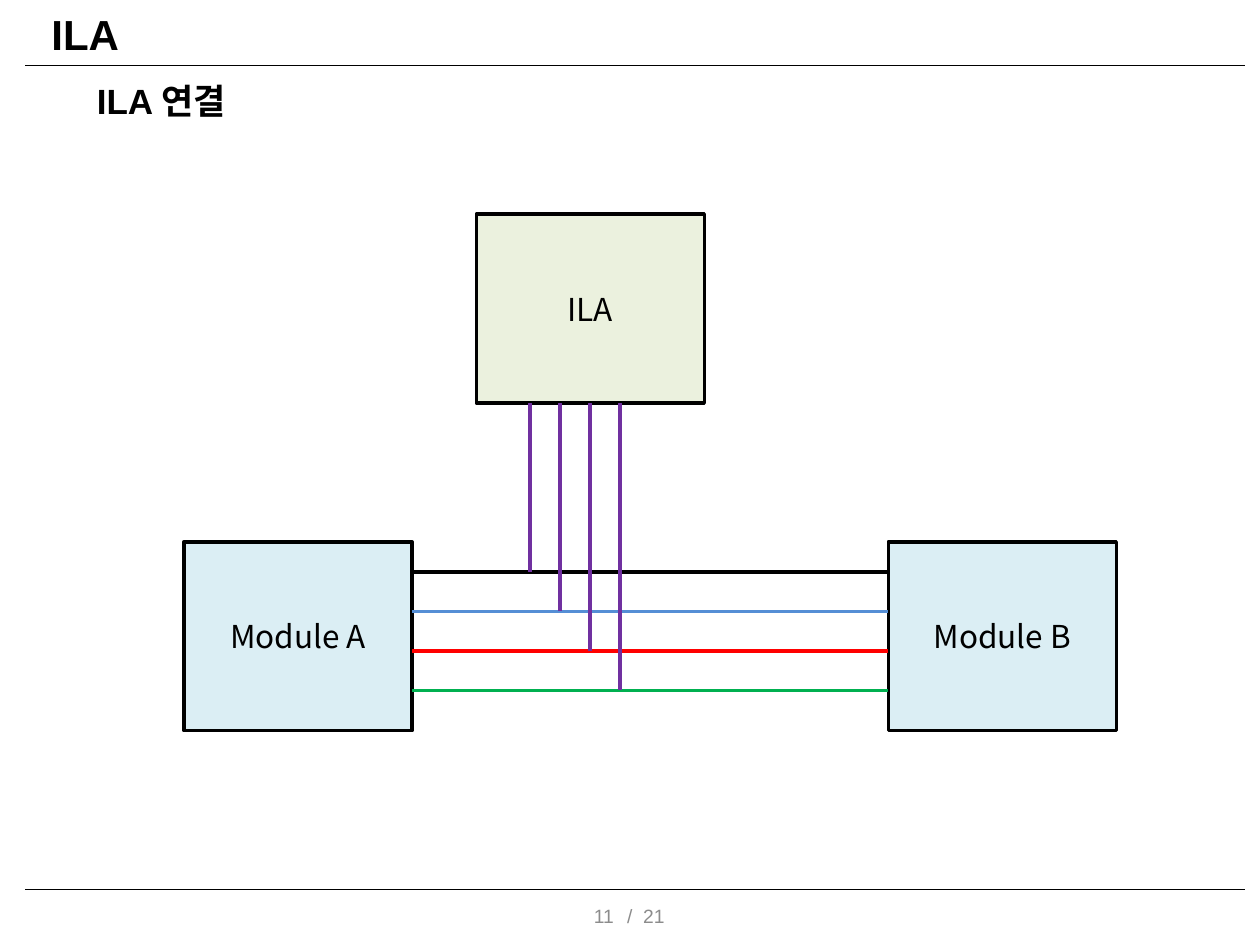
from lxml import etree
from pptx import Presentation
from pptx import util as u
from pptx.dml.color import RGBColor
from pptx.enum import shapes, text
from pptx.oxml import ns

BLACK = RGBColor(0x00, 0x00, 0x00)
GRAY = RGBColor(0x8C, 0x8C, 0x8C)
MODULE_BLUE = RGBColor(0xDB, 0xEE, 0xF4)
ILA_GREEN = RGBColor(0xEB, 0xF1, 0xDE)
PROBE_PURPLE = RGBColor(0x70, 0x30, 0xA0)
SIGNAL_COLORS = [BLACK, RGBColor(0x55, 0x8E, 0xD5),
                 RGBColor(0xFF, 0x00, 0x00), RGBColor(0x00, 0xB0, 0x50)]
LATIN, KOREAN = "Arial", "Noto Sans CJK KR"
ALIGN = text.PP_ALIGN


def write(shape, words, size, font=LATIN, color=BLACK, bold=False,
          align=ALIGN.LEFT, before=0, inset=0.05):
    frame = shape.text_frame
    frame.word_wrap = True
    frame.vertical_anchor = text.MSO_ANCHOR.MIDDLE
    frame.margin_top = frame.margin_bottom = u.Inches(inset)
    para = frame.paragraphs[0]
    para.alignment = align
    para.space_before = u.Pt(before)
    span = para.add_run()
    span.text = words
    span.font.name = font
    span.font.size = u.Pt(size)
    span.font.bold = bold
    span.font.color.rgb = color
    east_asian = etree.SubElement(span.font._element, ns.qn("a:ea"))
    east_asian.set("typeface", KOREAN)


def add_text(page, box, words, size, **style):
    write(page.shapes.add_textbox(*map(u.Inches, box)), words, size, **style)


def add_line(page, start, end, color=BLACK, width=2.25):
    line = page.shapes.add_connector(
        shapes.MSO_CONNECTOR.STRAIGHT, *map(u.Inches, (*start, *end)))
    line.line.color.rgb = color
    line.line.width = u.Pt(width)
    etree.SubElement(line._element.spPr, ns.qn("a:effectLst"))


def add_block(page, box, label, fill):
    block = page.shapes.add_shape(shapes.MSO_SHAPE.RECTANGLE, *map(u.Inches, box))
    block.shadow.inherit = False
    block.fill.solid()
    block.fill.fore_color.rgb = fill
    block.line.color.rgb = BLACK
    block.line.width = u.Pt(2)
    write(block, label, 18, font=KOREAN, align=ALIGN.CENTER)


def add_header(page, left, top, width):
    add_line(page, (left, top + 0.52), (left + width, top + 0.52), width=1)
    add_text(page, (left + 0.11, top + 0.05, 9.34, 0.43), "ILA", 24,
             bold=True, inset=0)
    add_text(page, (left + 0.47, top + 0.6, 9.21, 0.39), "ILA 연결", 20,
             bold=True, before=4, inset=0)


def add_footer(page, left, top, width):
    add_line(page, (left, top), (left + width, top), width=1)
    add_text(page, (left + 4.68, top + 0.08, 3.17, 0.25), "/\u00a0 21", 11, color=GRAY)
    add_text(page, (left + 2.44, top + 0.08, 2.33, 0.25), "11", 11,
             color=GRAY, align=ALIGN.RIGHT)


def add_diagram(page, left, top):
    width, height = 1.81, 1.5
    module_top = top + 2.6
    module_b_left = left + 5.59
    ila_left = left + 2.32

    # Blocks
    add_block(page, (left, module_top, width, height), "Module A", MODULE_BLUE)
    add_block(page, (module_b_left, module_top, width, height), "Module B", MODULE_BLUE)
    add_block(page, (ila_left, top, width, height), "ILA", ILA_GREEN)

    # Signals between the modules
    steps = len(SIGNAL_COLORS) - 1
    signal_rows = [module_top + 0.24 + 0.94 * i / steps for i in range(steps + 1)]
    for row, color in zip(signal_rows, SIGNAL_COLORS):
        add_line(page, (left + width, row), (module_b_left, row), color)

    # One probe from the ILA down to each signal
    for i, row in enumerate(signal_rows):
        column = ila_left + 0.43 + 0.71 * i / steps
        add_line(page, (column, top + height), (column, row), PROBE_PURPLE)


deck = Presentation()
deck.slide_width, deck.slide_height = u.Inches(10), u.Inches(7.5)
page = deck.slides.add_slide(deck.slide_layouts[6])
add_footer(page, 0.2, 7.06, 9.68)
add_header(page, 0.2, 0, 9.68)
add_diagram(page, 1.46, 1.7)
deck.save("out.pptx")
